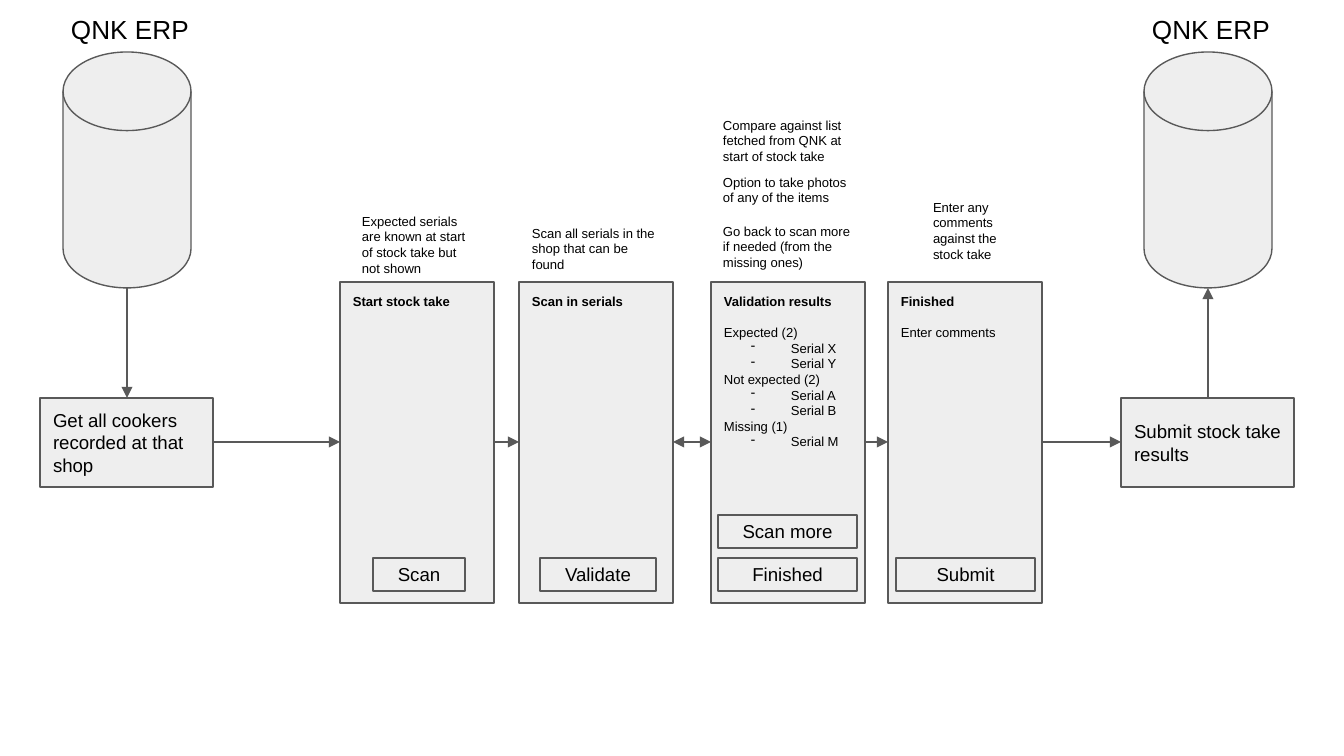
"""Build the stock take process slide, from ERP fetch to ERP submission."""
from lxml.etree import SubElement
from pptx import Presentation
from pptx.dml.color import RGBColor
from pptx.enum.shapes import MSO_CONNECTOR as Connector, MSO_SHAPE as Shape
from pptx.enum.text import MSO_ANCHOR as Anchor, PP_ALIGN as Align
from pptx.oxml.ns import qn
from pptx.util import Emu, Pt

FILL, LINE, INK = "EEEEEE", "595959", "000000"
INSET = 13
SCREEN_TOP, SCREEN_WIDTH, SCREEN_HEIGHT = 282, 154, 321
FLOW_Y = 442
BUTTON_HEIGHT = 33
SYSTEM = "QNK ERP"

SCREENS = [
    (340, "Start stock take", []),
    (519, "Scan in serials", []),
    (711, "Validation results", [
        "Expected (2)", "- Serial X", "- Serial Y",
        "Not expected (2)", "- Serial A", "- Serial B",
        "Missing (1)", "- Serial M",
    ]),
    (888, "Finished", ["Enter comments"]),
]
BUTTONS = [
    (373, 558, 92, "Scan"),
    (540, 558, 116, "Validate"),
    (718, 515, 139, "Scan more"),
    (718, 558, 139, "Finished"),
    (896, 558, 139, "Submit"),
]
NOTES = [
    (349, 200, 138, 116, "Expected serials are known at start of stock take but not shown"),
    (519, 212, 154, 63, "Scan all serials in the shop that can be found"),
    (710, 104, 154, 63, "Compare against list fetched from QNK at start of stock take"),
    (710, 161, 154, 63, "Option to take photos of any of the items"),
    (710, 210, 154, 63, "Go back to scan more if needed (from the missing ones)"),
    (920, 186, 92, 116, "Enter any comments against the stock take"),
]
SYSTEMS = [
    (40, "Get all cookers recorded at that shop", False),
    (1121, "Submit stock take results", True),
]


def px(length):
    """Turn whole pixels into EMU."""
    return Emu(round(length * 914400 / 134.4))


def color(hex_code):
    """Turn a hex string into a colour."""
    return RGBColor.from_string(hex_code)


def set_font(paragraph, size, bold=False):
    """Style every run of a paragraph alike."""
    font = paragraph.font
    font.name, font.size, font.bold = "Arial", Pt(size), bold
    font.color.rgb = color(INK)


def prepare_frame(frame, anchor):
    """Set wrapping, insets and anchor of a text frame."""
    frame.word_wrap = True
    frame.vertical_anchor = anchor
    frame.margin_left = frame.margin_right = px(INSET)
    frame.margin_top = frame.margin_bottom = px(INSET)


def add_outlined(slide, kind, left, top, width, height):
    """Add a grey preset shape with a thin outline."""
    shape = slide.shapes.add_shape(kind, px(left), px(top), px(width), px(height))
    shape.shadow.inherit = False
    shape.fill.solid()
    shape.fill.fore_color.rgb = color(FILL)
    shape.line.color.rgb = color(LINE)
    shape.line.width = Pt(0.75)
    return shape


def add_box(slide, left, top, width, height, text, align):
    """Add a rectangle holding one vertically centred label."""
    frame = add_outlined(slide, Shape.RECTANGLE, left, top, width, height).text_frame
    prepare_frame(frame, Anchor.MIDDLE)
    label = frame.paragraphs[0]
    label.text, label.alignment = text, align
    set_font(label, 10)


def add_note(slide, left, top, width, height, text, size=7):
    """Add plain text without an outline."""
    frame = slide.shapes.add_textbox(px(left), px(top), px(width), px(height)).text_frame
    prepare_frame(frame, Anchor.TOP)
    frame.paragraphs[0].text = text
    set_font(frame.paragraphs[0], size)


def add_dash(paragraph):
    """Indent a paragraph behind a dash bullet."""
    properties = paragraph._p.get_or_add_pPr()
    properties.set("marL", str(px(67)))
    properties.set("indent", str(-px(40)))
    SubElement(properties, qn("a:buChar"), char="-")


def add_screen(slide, left, title, lines):
    """Add an app screen with a bold title and its content lines."""
    frame = add_outlined(slide, Shape.RECTANGLE, left, SCREEN_TOP,
                         SCREEN_WIDTH, SCREEN_HEIGHT).text_frame
    prepare_frame(frame, Anchor.TOP)
    frame.margin_top = px(11)
    heading = frame.paragraphs[0]
    heading.text, heading.alignment = title, Align.LEFT
    set_font(heading, 7, bold=True)
    for index, line in enumerate(lines):
        entry = frame.add_paragraph()
        entry.text, entry.alignment = line.removeprefix("- "), Align.LEFT
        if index == 0:
            entry.space_before = Pt(8.4)
        if line.startswith("- "):
            add_dash(entry)
        set_font(entry, 7)


def add_arrow(slide, start, end, both_ways=False):
    """Add a straight arrow, optionally with a head at each end."""
    arrow = slide.shapes.add_connector(Connector.STRAIGHT, *map(px, start + end))
    arrow.line.color.rgb = color(LINE)
    arrow.line.width = Pt(0.75)
    outline = arrow.line._get_or_add_ln()
    if both_ways:
        SubElement(outline, qn("a:headEnd"), type="triangle")
    SubElement(outline, qn("a:tailEnd"), type="triangle")
    SubElement(arrow._element.spPr, qn("a:effectLst"))


def add_system(slide, left, step, upward):
    """Add an ERP database, its process step and the arrow between them."""
    add_outlined(slide, Shape.FLOWCHART_MAGNETIC_DISK, left + 23, 52, 128, 236)
    add_note(slide, left + 18, 0, 167, 50, SYSTEM, size=14)
    add_box(slide, left, 398, 173, 89, step, Align.LEFT)
    disk_end, step_end = (left + 87, 288), (left + 87, 398)
    if upward:
        add_arrow(slide, step_end, disk_end)
    else:
        add_arrow(slide, disk_end, step_end)


def add_flow(slide):
    """Join the steps and screens from left to right."""
    lefts = [left for left, _, _ in SCREENS]
    sources = [213] + [left + SCREEN_WIDTH for left in lefts]
    targets = lefts + [1121]
    for index, (source, target) in enumerate(zip(sources, targets)):
        add_arrow(slide, (source, FLOW_Y), (target, FLOW_Y), both_ways=index == 2)


def main():
    """Build and save the slide."""
    deck = Presentation()
    deck.slide_width, deck.slide_height = px(1344), px(756)
    slide = deck.slides.add_slide(deck.slide_layouts[6])
    for system in SYSTEMS:
        add_system(slide, *system)
    for screen in SCREENS:
        add_screen(slide, *screen)
    for left, top, width, label in BUTTONS:
        add_box(slide, left, top, width, BUTTON_HEIGHT, label, Align.CENTER)
    for note in NOTES:
        add_note(slide, *note)
    add_flow(slide)
    deck.save("out.pptx")


if __name__ == "__main__":
    main()
